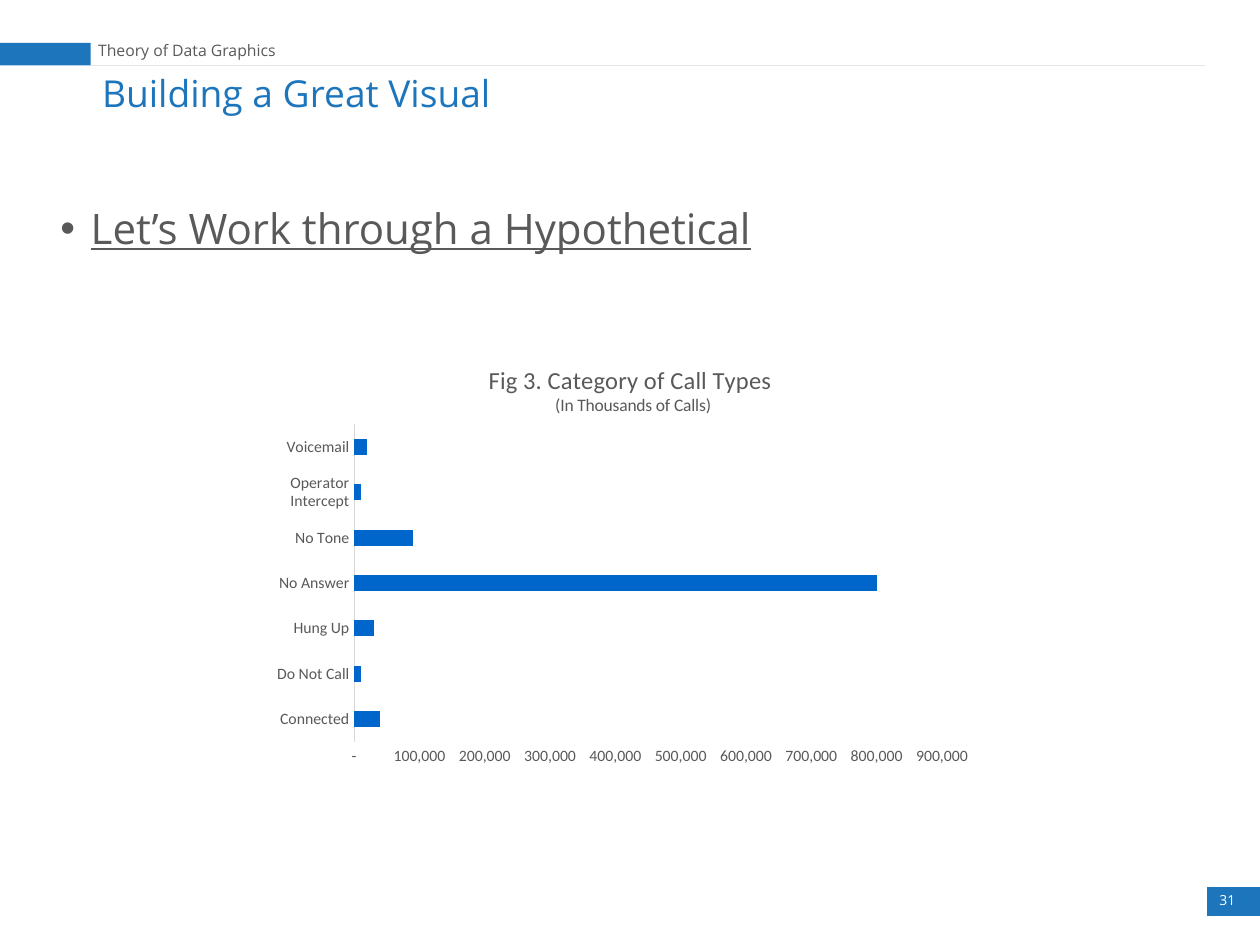
"""Build the call types slide: header band, title, bullet and bar chart."""
from dataclasses import dataclass

from lxml.etree import SubElement
from pptx import Presentation
from pptx.chart.data import CategoryChartData
from pptx.dml.color import RGBColor
from pptx.enum.chart import XL_CHART_TYPE, XL_TICK_MARK
from pptx.enum.shapes import MSO_CONNECTOR, MSO_SHAPE
from pptx.enum.text import MSO_ANCHOR, MSO_AUTO_SIZE, PP_ALIGN
from pptx.oxml.ns import qn
from pptx.util import Inches, Pt

COLORS = {
    "brand": "1D75BC",
    "bar": "0066CC",
    "text": "595959",
    "rule": "E7E6E6",
    "axis": "D9D9D9",
    "white": "FFFFFF",
}
COLUMNS, ROWS = 100, 75
SLIDE_WIDTH, SLIDE_HEIGHT = Inches(10), Inches(7.5)
CALLS = {
    "Connected": 40000,
    "Do Not Call": 10000,
    "Hung Up": 30000,
    "No Answer": 800000,
    "No Tone": 90000,
    "Operator Intercept": 10000,
    "Voicemail": 20000,
}
NUMBER_FORMAT = '_(* #,##0_);_(* \\(#,##0\\);_(* "-"_);_(@_)'


@dataclass(frozen=True)
class Area:
    """A rectangle in grid columns and rows."""

    column: float
    row: float
    columns: float
    rows: float

    def box(self) -> tuple[int, int, int, int]:
        """Return left, top, width and height."""
        return across(self.column), down(self.row), across(self.columns), down(self.rows)


@dataclass(frozen=True)
class Style:
    """The look of one line of text."""

    size: float
    color: str
    family: str = "Open Sans"
    underline: bool = False


def across(columns: float) -> int:
    """Convert grid columns to a length."""
    return round(SLIDE_WIDTH * columns / COLUMNS)


def down(rows: float) -> int:
    """Convert grid rows to a length."""
    return round(SLIDE_HEIGHT * rows / ROWS)


def rgb(name: str) -> RGBColor:
    """Look up a named colour."""
    return RGBColor.from_string(COLORS[name])


def set_font(font, style: Style) -> None:
    """Apply a style to a font."""
    font.size = Pt(style.size)
    font.name = style.family
    font.color.rgb = rgb(style.color)
    font.bold = False
    font.underline = style.underline


def write(shape, wording: str, style: Style, anchor=MSO_ANCHOR.MIDDLE, bullet: str = "") -> None:
    """Write one left-aligned paragraph into a shape."""
    frame = shape.text_frame
    frame.text = wording
    frame.word_wrap = True
    frame.auto_size = MSO_AUTO_SIZE.NONE
    frame.vertical_anchor = anchor
    frame.margin_top = frame.margin_bottom = Inches(0.05)
    paragraph = frame.paragraphs[0]
    if bullet:
        properties = paragraph._p.get_or_add_pPr()
        properties.set("marL", str(Inches(0.24)))
        properties.set("indent", str(-Inches(0.24)))
        SubElement(properties, qn("a:buChar"), char=bullet)
    paragraph.alignment = PP_ALIGN.LEFT
    paragraph.line_spacing = 0.9
    paragraph.space_before = Pt(0)
    set_font(paragraph.font, style)


def place(shape, area: Area) -> None:
    """Move a placeholder to an area."""
    shape.left, shape.top, shape.width, shape.height = area.box()


def add_block(slide, area: Area):
    """Add a flat brand-coloured rectangle."""
    block = slide.shapes.add_shape(MSO_SHAPE.RECTANGLE, *area.box())
    block.shadow.inherit = False
    block.fill.solid()
    block.fill.fore_color.rgb = rgb("brand")
    block.line.fill.background()
    return block


def add_rule(slide, start: float, end: float, row: float) -> None:
    """Add a thin horizontal line."""
    rule = slide.shapes.add_connector(
        MSO_CONNECTOR.STRAIGHT, across(start), down(row), across(end), down(row))
    rule.line.color.rgb = rgb("rule")
    rule.line.width = Pt(0.5)
    SubElement(rule._element.spPr, qn("a:effectLst"))


def set_layout(layout, **shares: float) -> None:
    """Fix a chart part at shares of the chart's size."""
    manual = SubElement(layout, qn("c:manualLayout"))
    if "w" in shares:
        SubElement(manual, qn("c:layoutTarget"), val="inner")
    for side in ("x", "y"):
        SubElement(manual, qn(f"c:{side}Mode"), val="edge")
    for side, share in shares.items():
        SubElement(manual, qn(f"c:{side}"), val=str(share))


def get_layout(part):
    """Return an emptied layout element of a chart part."""
    layout = part.find(qn("c:layout"))
    if layout is None:
        layout = SubElement(part, qn("c:layout"))
        part.insert(1 if part.tag == qn("c:title") else 0, layout)
    for child in list(layout):
        layout.remove(child)
    return layout


def add_call_chart(slide, area: Area) -> None:
    """Add the bar chart of call types."""
    data = CategoryChartData(number_format=NUMBER_FORMAT)
    data.categories = list(CALLS)
    data.add_series("Series 1", list(CALLS.values()))
    chart = slide.shapes.add_chart(XL_CHART_TYPE.BAR_CLUSTERED, *area.box(), data).chart
    chart.has_legend = False
    chart.font.size = Pt(10)
    chart.font.name = "Calibri"

    heading = chart.chart_title.text_frame
    heading.text = "Fig 3. Category of Call Types \n(In Thousands of Calls)"
    for paragraph, size in zip(heading.paragraphs, (14, 10)):
        set_font(paragraph.font, Style(size, "text", "Calibri"))
    chart.chart_title.include_in_layout = False
    set_layout(get_layout(chart.chart_title._element), x=0.3, y=0.05)
    set_layout(get_layout(chart._chartSpace.chart.plotArea), x=0.12, y=0.2, w=0.81, h=0.73)

    plot = chart.plots[0]
    plot.gap_width = 182
    plot.vary_by_categories = False
    bars = plot.series[0].format.fill
    bars.solid()
    bars.fore_color.rgb = rgb("bar")

    for axis in (chart.category_axis, chart.value_axis):
        axis.has_major_gridlines = False
        axis.major_tick_mark = axis.minor_tick_mark = XL_TICK_MARK.NONE
        set_font(axis.tick_labels.font, Style(9, "text", "Calibri"))
    chart.category_axis.format.line.color.rgb = rgb("axis")
    chart.category_axis.format.line.width = Pt(0.75)
    values = chart.value_axis
    values.format.line.fill.background()
    values.minimum_scale, values.maximum_scale, values.major_unit = 0, 900000, 100000
    values.tick_labels.number_format = NUMBER_FORMAT
    values.tick_labels.number_format_is_linked = False


def main() -> None:
    """Assemble and save the slide."""
    deck = Presentation()
    deck.slide_width, deck.slide_height = SLIDE_WIDTH, SLIDE_HEIGHT
    slide = deck.slides.add_slide(deck.slide_layouts[1])
    title, body = slide.placeholders[0], slide.placeholders[1]

    page_number = add_block(slide, Area(95.8, 70.4, 4.2, 2.3))
    write(page_number, "31", Style(7.9, "white"))
    add_rule(slide, 7.2, 95.6, 5.2)
    add_block(slide, Area(0, 3.4, 7.2, 1.8))

    place(title, Area(7.1, 5.7, 42.1, 3.8))
    write(title, "Building a Great Visual", Style(21.2, "brand"))
    section = slide.shapes.add_textbox(*Area(6.8, 3.2, 26.5, 1.8).box())
    write(section, "Theory of Data Graphics", Style(9, "text"))
    place(body, Area(3.8, 16, 75.2, 53.3))
    write(body, "Let’s Work through a Hypothetical",
          Style(24, "text", underline=True), MSO_ANCHOR.TOP, "•")
    add_call_chart(slide, Area(21.2, 26.8, 57.6, 34.5))
    deck.save("out.pptx")


if __name__ == "__main__":
    main()
